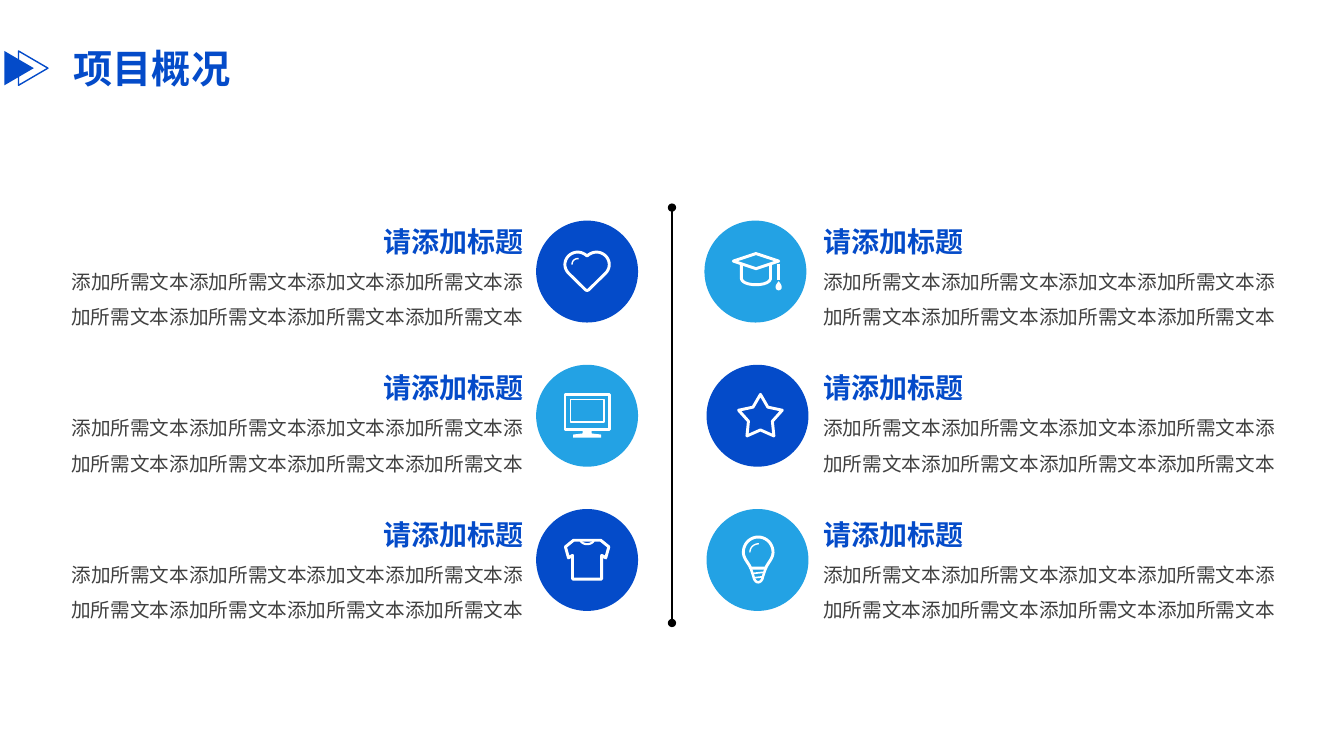
import math
import pptx
import pptx.util
import pptx.dml.color
import pptx.enum.shapes
import pptx.enum.text
import pptx.oxml.ns
import lxml.etree

Pt = pptx.util.Pt
RGB = pptx.dml.color.RGBColor
KIND = pptx.enum.shapes.MSO_SHAPE
ALIGN = pptx.enum.text.PP_ALIGN
FONT = "Noto Sans CJK SC"
BLUE = RGB(0x04, 0x4B, 0xC9)
SKY = RGB(0x23, 0xA2, 0xE4)
GREY = RGB(0x40, 0x40, 0x40)
WHITE = RGB(0xFF, 0xFF, 0xFF)
BLACK = RGB(0, 0, 0)
HEAD = "请添加标题"
BODY = "添加所需文本添加所需文本添加文本添加所需文本添加所需文本添加所需文本添加所需文本添加所需文本"


def sub(node, tag, **attrs):
    return lxml.etree.SubElement(node, pptx.oxml.ns.qn(tag), **attrs)


def paint(shape, fill=None, line=None, width=1):
    shape.shadow.inherit = False
    if fill is None:
        shape.fill.background()
    else:
        shape.fill.solid()
        shape.fill.fore_color.rgb = fill
    if line is None:
        shape.line.fill.background()
    else:
        shape.line.color.rgb = line
        shape.line.width = Pt(width)


def style(para, size, color, bold, align):
    para.alignment = align
    font = para.font
    font.size = Pt(size)
    font.bold = bold
    font.color.rgb = color
    font.name = FONT
    for run in para.runs:
        sub(run._r.get_or_add_rPr(), "a:ea", typeface=FONT)


def title(slide, text):
    box = slide.shapes.title
    box.left, box.top, box.width, box.height = Pt(45.4), Pt(28.1), Pt(152), Pt(41)
    frame = box.text_frame
    frame.text = text
    frame.vertical_anchor = pptx.enum.text.MSO_ANCHOR.TOP
    frame.auto_size = pptx.enum.text.MSO_AUTO_SIZE.NONE
    para = frame.paragraphs[0]
    para.line_spacing = 1.0
    para.space_before = Pt(0)
    style(para, 28, BLUE, True, ALIGN.LEFT)


def arrow(slide, left, fill, line):
    shape = slide.shapes.add_shape(KIND.ISOSCELES_TRIANGLE, Pt(left), Pt(38.2), Pt(24.5), Pt(21))
    shape.rotation = 90
    paint(shape, fill, line)


def axis(slide):
    line = slide.shapes.add_connector(
        pptx.enum.shapes.MSO_CONNECTOR.STRAIGHT, Pt(480), Pt(148.3), Pt(480), Pt(445))
    line.line.color.rgb = BLACK
    line.line.width = Pt(1.5)
    ends = line.line._get_or_add_ln()
    sub(ends, "a:headEnd", type="oval")
    sub(ends, "a:tailEnd", type="oval")
    sub(line._element.spPr, "a:effectLst")


def block(slide, left, top, align):
    box = slide.shapes.add_textbox(Pt(left), Pt(top), Pt(340), Pt(94.3))
    frame = box.text_frame
    frame.word_wrap = True
    frame.text = HEAD + "\n" + BODY
    looks = [(20, BLUE, True), (14, GREY, False)]
    for para, look in zip(frame.paragraphs, looks):
        para.line_spacing = 1.5
        style(para, *look, align)


def trace(steps):
    points = []
    for step in steps:
        if len(step) == 2:
            points.append(step)
            continue
        nodes = [points[-1], step[:2], step[2:4], step[4:]]
        for count in range(1, 11):
            t = count / 10
            parts = [(1 - t) ** 3, 3 * t * (1 - t) ** 2, 3 * t * t * (1 - t), t ** 3]
            points.append(tuple(sum(p * n[i] for p, n in zip(parts, nodes)) for i in (0, 1)))
    return points


def draw(slide, x, y, steps, width=2.1, close=False, fill=None):
    points = [(Pt(x + dx), Pt(y + dy)) for dx, dy in trace(steps)]
    form = slide.shapes.build_freeform(*points[0])
    form.add_line_segments(points[1:], close=close)
    shape = form.convert_to_shape()
    paint(shape, fill, None if fill else WHITE, width)
    if not fill:
        sub(shape.line._get_or_add_ln(), "a:round")


def heart(slide, x, y):
    draw(slide, x, y, [
        (0, -11.1), (4, -14.8, 9.6, -14.8, 13.3, -11.1), (16.7, -7.6, 16.7, -2.4, 13.3, 1.1),
        (1.2, 13), (0.5, 13.6, -0.5, 13.6, -1.2, 13), (-13.3, 1.1),
        (-16.7, -2.4, -16.7, -7.6, -13.3, -11.1), (-9.6, -14.8, -4, -14.8, 0, -11.1)], close=True)
    draw(slide, x, y, [(-10.8, -5), (-10.8, -7.6, -8.8, -9.6, -6.1, -9.2)], 1)


def screen(slide, x, y):
    draw(slide, x, y, [(-15.8, -15.1), (15.8, -15.1), (15.8, 10.1), (-15.8, 10.1)], close=True)
    draw(slide, x, y, [(-12, -11.5), (12, -11.5), (12, 4.3), (-12, 4.3)], 1, True)
    draw(slide, x, y, [
        (-3.2, 11), (3.2, 11), (3.2, 12.6), (10, 13.4), (10, 15.5),
        (-10, 15.5), (-10, 13.4), (-3.2, 12.6)], close=True, fill=WHITE)


def shirt(slide, x, y):
    half = [(9.7, -14.1), (15.5, -9.4), (13.3, -1.5), (10.4, -3.3), (10.4, 13.6)]
    draw(slide, x, y, half + [(-dx, dy) for dx, dy in reversed(half)], close=True)
    draw(slide, x, y, [(-4.8, -14), (-3.5, -10.4, 3.5, -10.4, 4.8, -14)], 1.5)


def cap(slide, x, y):
    draw(slide, x, y, [(0.4, -12.9), (16.6, -7.5), (0.4, -2.1), (-15.8, -7.5)], close=True)
    draw(slide, x, y, [
        (-10, -4.6), (-10, 5.2), (-9, 10.8, 9.8, 10.8, 10.8, 5.2), (10.8, -4.6)])
    draw(slide, x, y, [(16.6, -5.4), (16.6, 6.2)])
    draw(slide, x, y, [
        (16.6, 6.9), (18, 8.5, 18.8, 10, 18.8, 11), (18.8, 14.2, 14.4, 14.2, 14.4, 11),
        (14.4, 10, 15.2, 8.5, 16.6, 6.9)], close=True, fill=WHITE)


def star(slide, x, y):
    points = []
    for index in range(10):
        angle = math.pi * index / 5
        size = 9 if index % 2 else 16.4
        points.append((2.1 + size * math.sin(angle), 1.1 - size * math.cos(angle)))
    draw(slide, x, y, points, close=True)


def bulb(slide, x, y):
    draw(slide, x, y, [
        (-4.9, 5.8), (-6, 2.5, -10.1, -1, -10.1, -5.4), (-10.1, -11.6, -5.4, -16.4, 0.5, -16.4),
        (6.4, -16.4, 11.1, -11.6, 11.1, -5.4), (11.1, -1, 7, 2.5, 5.9, 5.8)], close=True)
    draw(slide, x, y, [(-4.9, 5.8), (-3, 11.5), (-2, 17.4, 3, 17.4, 4, 11.5), (5.9, 5.8)], 1.8)
    for rib in (9.2, 12.4):
        draw(slide, x, y, [(-3.2, rib + 0.4), (4.2, rib - 0.4)], 1.2)
    draw(slide, x, y, [(-5.4, -5.4), (-5.4, -9, -2.6, -11.6, 1, -11.6)], 1)


def main():
    deck = pptx.Presentation()
    deck.slide_width, deck.slide_height = Pt(960), Pt(540)
    slide = deck.slides.add_slide(deck.slide_layouts[5])
    title(slide, "项目概况")
    arrow(slide, 1.4, BLUE, None)
    arrow(slide, 11.5, None, BLUE)
    axis(slide)
    sides = [
        (41, ALIGN.RIGHT, (419.4, 419.4, 419.4), (heart, screen, shirt), (BLUE, SKY)),
        (581, ALIGN.LEFT, (539.6, 541.1, 541.1), (cap, star, bulb), (SKY, BLUE))]
    for left, align, mids, icons, fills in sides:
        for row, (x, icon) in enumerate(zip(mids, icons)):
            y = 194 + 103 * row
            disc = slide.shapes.add_shape(KIND.OVAL, Pt(x - 36.4), Pt(y - 36.4), Pt(72.8), Pt(72.8))
            paint(disc, fills[row % 2])
            icon(slide, x, y)
            block(slide, left, 144.7 + 104.75 * row, align)
    deck.save("out.pptx")


if __name__ == "__main__":
    main()
